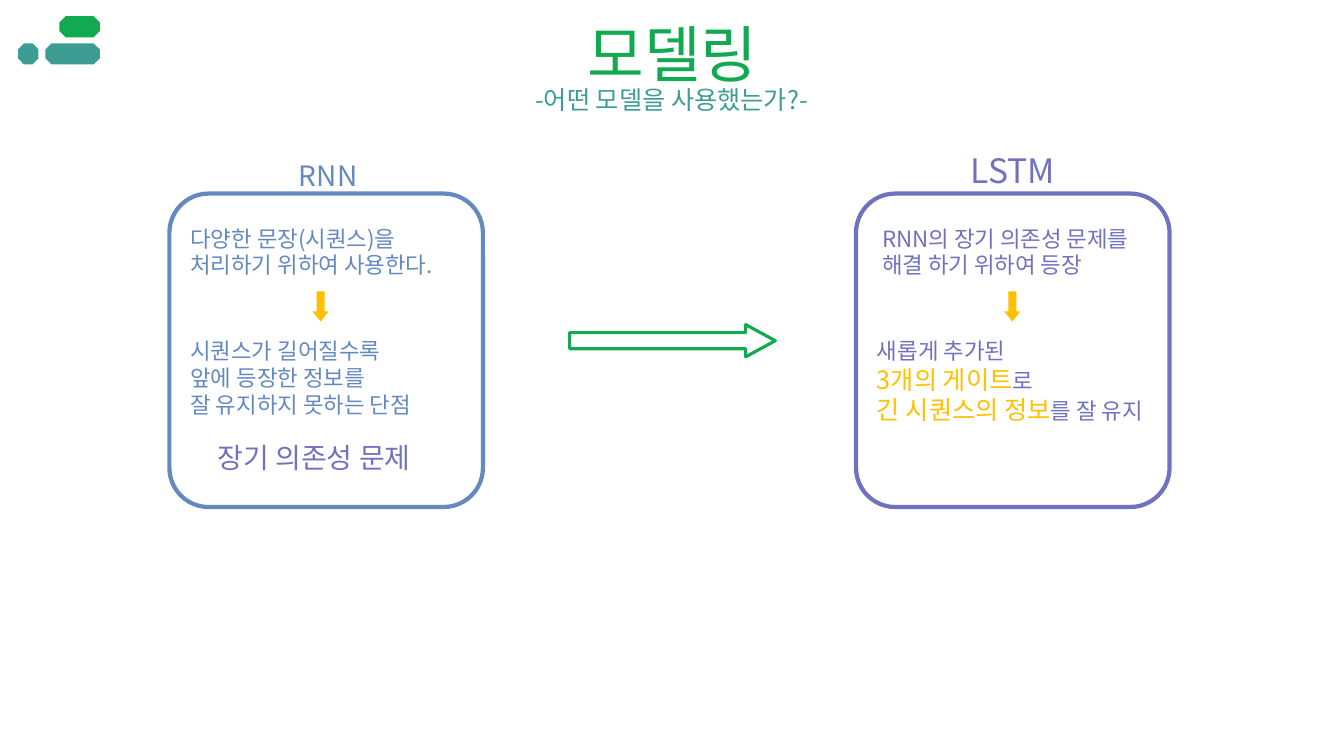
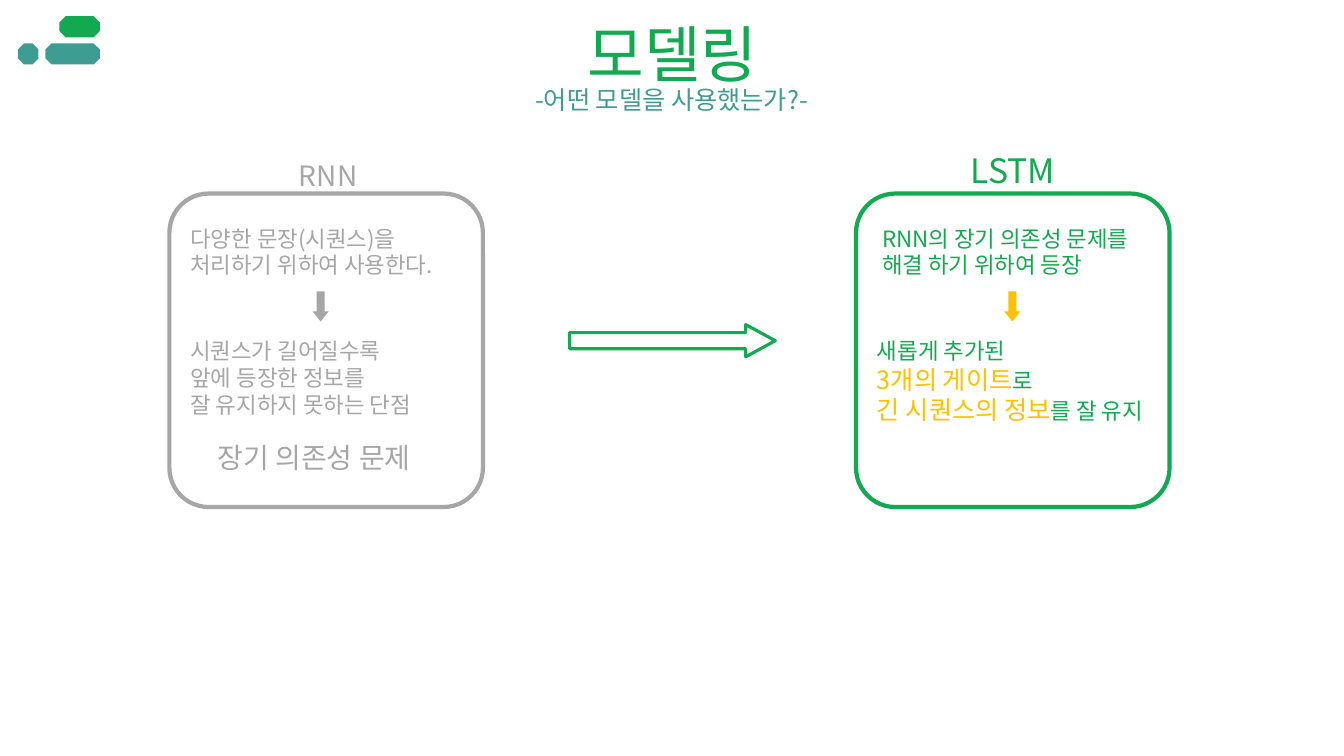
from dataclasses import dataclass

import lxml.etree
import pptx
import pptx.dml.color
import pptx.enum.shapes
import pptx.enum.text
import pptx.oxml.ns
import pptx.util

Inches = pptx.util.Inches
Color = pptx.dml.color.RGBColor
Kind = pptx.enum.shapes.MSO_SHAPE
Align = pptx.enum.text.PP_ALIGN

FONT = "Noto Sans CJK KR"
GREEN = Color(0x12, 0xAA, 0x50)
TEAL = Color(0x3E, 0x9D, 0x92)
BLUE = Color(0x63, 0x89, 0xBF)
PURPLE = Color(0x70, 0x72, 0xBF)
GOLD = Color(0xFF, 0xC0, 0x00)
GRAY = Color(0xA6, 0xA6, 0xA6)

Box = tuple[float, float, float, float]


@dataclass(frozen=True)
class Span:
    text: str
    size: float | None = None
    color: Color | None = None


Line = str | tuple[Span, ...]


@dataclass(frozen=True)
class Note:
    box: Box
    lines: tuple[Line, ...]
    size: float = 16


@dataclass(frozen=True)
class Panel:
    left: float
    name: Note
    notes: tuple[Note, ...]
    arrow: float


@dataclass(frozen=True)
class Look:
    main: Color
    arrow: Color
    close: Color


RNN = Panel(
    1.68,
    Note((2.84, 1.52, 0.83, 0.44), ("RNN",), 20),
    (
        Note((1.79, 2.18, 2.77, 0.64), ("다양한 문장(시퀀스)을", "처리하기 위하여 사용한다.")),
        Note(
            (1.79, 3.3, 2.57, 0.91),
            ("시퀀스가 길어질수록", "앞에 등장한 정보를", "잘 유지하지 못하는 단점"),
        ),
        Note((2.06, 4.32, 2.26, 0.44), ("장기 의존성 문제",), 20),
    ),
    3.03,
)
LSTM = Panel(
    8.49,
    Note((9.48, 1.44, 1.13, 0.5), ("LSTM",), 24),
    (
        Note((8.65, 2.18, 2.85, 0.64), ("RNN의 장기 의존성 문제를", "해결 하기 위하여 등장")),
        Note(
            (8.6, 3.3, 3.06, 0.98),
            (
                "새롭게 추가된",
                (Span("3개의 게이트", 18, GOLD), Span("로")),
                (Span("긴 시퀀스의 정보", 18, GOLD), Span("를 잘 유지")),
            ),
        ),
    ),
    9.89,
)
LOOKS = (
    (Look(BLUE, GOLD, PURPLE), Look(PURPLE, GOLD, PURPLE)),
    (Look(GRAY, GRAY, GRAY), Look(GREEN, GOLD, GREEN)),
)
MARKS = (
    ((0.45, 0.43, 0.54, 0.21), TEAL),
    ((0.18, 0.43, 0.2, 0.21), TEAL),
    ((0.59, 0.16, 0.4, 0.21), GREEN),
)


def place(box: Box) -> list[int]:
    return [Inches(side) for side in box]


def write(shape, *lines: Line, size: float, color: Color, align=Align.LEFT) -> None:
    frame = shape.text_frame
    frame.word_wrap = False
    frame.auto_size = pptx.enum.text.MSO_AUTO_SIZE.SHAPE_TO_FIT_TEXT
    frame.vertical_anchor = pptx.enum.text.MSO_ANCHOR.TOP
    for index, line in enumerate(lines):
        para = frame.add_paragraph() if index else frame.paragraphs[0]
        para.alignment = align
        for span in (Span(line),) if isinstance(line, str) else line:
            run = para.add_run()
            run.text = span.text
            run.font.size = pptx.util.Pt(span.size or size)
            run.font.color.rgb = span.color or color
            run.font.name = FONT
            props = run._r.get_or_add_rPr()
            lxml.etree.SubElement(props, pptx.oxml.ns.qn("a:ea"), typeface=FONT)


def label(slide, note: Note, color: Color, align=Align.LEFT) -> None:
    shape = slide.shapes.add_textbox(*place(note.box))
    write(shape, *note.lines, size=note.size, color=color, align=align)


def draw(
    shapes,
    kind,
    box: Box,
    *,
    fill: Color | None = None,
    line: Color | None = None,
    width: float = 3,
    adjust: tuple[float, ...] = (),
    turn: float = 0,
) -> None:
    shape = shapes.add_shape(kind, *place(box))
    shape.shadow.inherit = False
    shape.rotation = turn
    for index, value in enumerate(adjust):
        shape.adjustments[index] = value
    if fill is None:
        shape.fill.background()
    else:
        shape.fill.solid()
        shape.fill.fore_color.rgb = fill
    if line is None:
        shape.line.fill.background()
    else:
        shape.line.color.rgb = line
        shape.line.width = pptx.util.Pt(width)


def header(slide) -> None:
    title = slide.shapes.title
    title.left, title.top, title.width, title.height = place((5.67, 0.11, 2, 0.84))
    write(title, "모델링", size=44, color=GREEN, align=Align.CENTER)
    group = slide.shapes.add_group_shape()
    for box, color in MARKS:
        draw(group.shapes, Kind.OCTAGON, box, fill=color)
    lead = Note((5.09, 0.79, 3.14, 0.4), ("-어떤 모델을 사용했는가?-",), 18)
    label(slide, lead, TEAL, Align.CENTER)


def card(slide, panel: Panel, look: Look) -> None:
    label(slide, panel.name, look.main, Align.CENTER)
    frame = (panel.left, 1.92, 3.11, 3.11)
    draw(slide.shapes, Kind.ROUNDED_RECTANGLE, frame, line=look.main, adjust=(0.125,))
    for index, note in enumerate(panel.notes):
        label(slide, note, look.close if index == 2 else look.main)
    draw(
        slide.shapes,
        Kind.RIGHT_ARROW,
        (panel.arrow, 2.96, 0.3, 0.16),
        fill=look.arrow,
        adjust=(0.5, 0.63),
        turn=90,
    )


def main() -> None:
    deck = pptx.Presentation()
    deck.slide_width, deck.slide_height = Inches(13.33), Inches(7.5)
    for looks in LOOKS:
        slide = deck.slides.add_slide(deck.slide_layouts[5])
        header(slide)
        for panel, look in zip((RNN, LSTM), looks):
            card(slide, panel, look)
        draw(
            slide.shapes,
            Kind.RIGHT_ARROW,
            (5.65, 3.22, 2.04, 0.32),
            line=GREEN,
            width=2.25,
            adjust=(0.5, 0.92),
        )
    deck.save("out.pptx")


if __name__ == "__main__":
    main()
